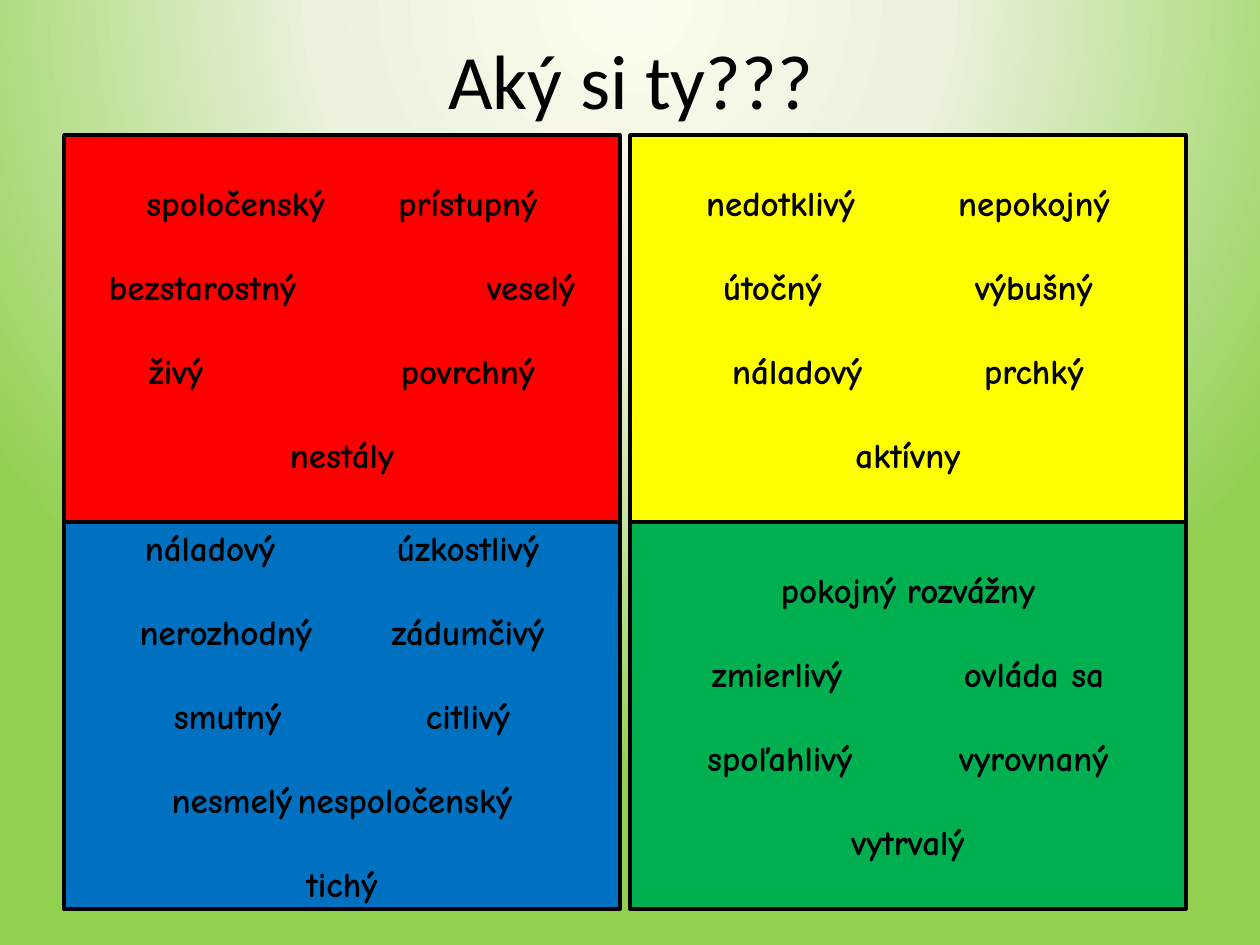
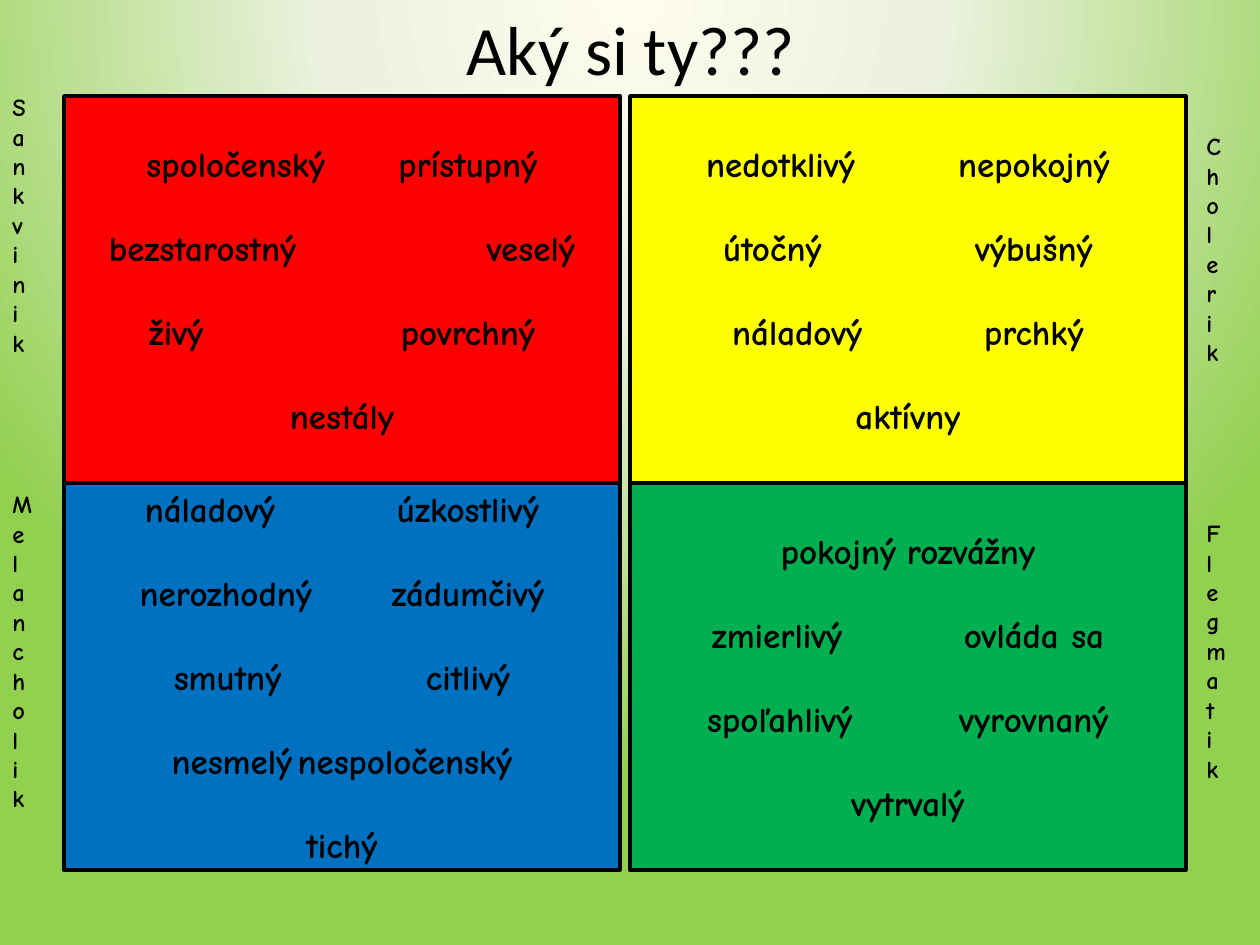
from dataclasses import dataclass

from pptx import Presentation
from pptx.dml.color import RGBColor
from pptx.enum.shapes import MSO_SHAPE
from pptx.enum.text import MSO_ANCHOR, MSO_AUTO_SIZE, PP_ALIGN
from pptx.oxml import parse_xml
from pptx.oxml.ns import nsdecls
from pptx.slide import Slide
from pptx.text.text import _Paragraph
from pptx.util import Emu, Inches, Pt

PX_PER_INCH = 126
COLORS = {
    "text": "000000",
    "sanguine": "FF0000",
    "choleric": "FFFF00",
    "melancholic": "0070C0",
    "phlegmatic": "00B050",
    "glow": "FEFCEE",
    "haze": "EBF1DE",
    "meadow": "92D050",
}
TITLE = "Aký si ty???"
TITLE_FONT, BODY_FONT = "Calibri", "Comic Neue"
GRID_LEFT, COL_STEP = 64, 566
BOX_W, BOX_H = 556, 387
LABEL_W = 66


@dataclass
class Temperament:
    color: str
    col: int
    row: int
    traits: list[str]


@dataclass
class SideLabel:
    text: str
    left: int
    top: int
    height: int


TEMPERAMENTS = [
    Temperament("sanguine", 0, 0, [
        "spoločenský\tprístupný", "bezstarostný\t\tveselý",
        "živý\t\tpovrchný", "nestály"]),
    Temperament("choleric", 1, 0, [
        "nedotklivý\tnepokojný", "útočný\t\tvýbušný",
        "náladový\tprchký", "aktívny"]),
    Temperament("melancholic", 0, 1, [
        "náladový\túzkostlivý", "nerozhodný\tzádumčivý",
        "smutný\t\tcitlivý", "nesmelý\tnespoločenský", "tichý"]),
    Temperament("phlegmatic", 1, 1, [
        "pokojný\trozvážny", "zmierlivý\tovláda sa",
        "spoľahlivý\tvyrovnaný", "vytrvalý"]),
]
SIDE_LABELS = [
    SideLabel("Sankvinik", 0, 86, 377),
    SideLabel("Cholerik", 1194, 125, 338),
    SideLabel("Melancholik", 0, 483, 462),
    SideLabel("Flegmatik", 1194, 512, 397),
]


def px(n: int) -> Emu:
    return Emu(round(n * Inches(1) / PX_PER_INCH))


def rgb(name: str) -> RGBColor:
    return RGBColor.from_string(COLORS[name])


def format_runs(p: _Paragraph, size: float, font: str, bold: bool = False) -> None:
    for r in p.runs:
        r.font.size = Pt(size)
        r.font.name = font
        r.font.bold = bold
        r.font.color.rgb = rgb("text")


def add_tab_stops(p: _Paragraph) -> None:
    """Put a left tab stop at each of the first four inches."""
    stops = "".join(f'<a:tab pos="{Inches(n)}" algn="l"/>' for n in range(1, 5))
    p._p.get_or_add_pPr().append(
        parse_xml(f'<a:tabLst {nsdecls("a")}>{stops}</a:tabLst>'))


def set_background(s: Slide) -> None:
    """Fill the slide with a round glow centred above its top edge."""
    stops = "".join(
        f'<a:gs pos="{pos * 1000}"><a:srgbClr val="{COLORS[name]}"/></a:gs>'
        for pos, name in ((0, "glow"), (40, "haze"), (100, "meadow")))
    bg = parse_xml(
        f'<p:bg {nsdecls("p", "a")}><p:bgPr><a:gradFill rotWithShape="1">'
        f'<a:gsLst>{stops}</a:gsLst><a:path path="circle">'
        '<a:fillToRect l="50000" t="-80000" r="50000" b="180000"/>'
        '</a:path></a:gradFill><a:effectLst/></p:bgPr></p:bg>')
    s.element.cSld.insert(0, bg)


def add_title(s: Slide, height: int, size: float) -> None:
    sp = s.shapes.add_textbox(px(GRID_LEFT), 0, Inches(9), px(height))
    tf = sp.text_frame
    tf.word_wrap = True
    tf.vertical_anchor = MSO_ANCHOR.MIDDLE
    tf.text = TITLE
    p = tf.paragraphs[0]
    p.alignment = PP_ALIGN.CENTER
    format_runs(p, size, TITLE_FONT)


def add_temperament(s: Slide, item: Temperament, grid_top: int) -> None:
    sp = s.shapes.add_shape(
        MSO_SHAPE.RECTANGLE, px(GRID_LEFT + item.col * COL_STEP),
        px(grid_top + item.row * BOX_H), px(BOX_W), px(BOX_H))
    sp.shadow.inherit = False
    sp.fill.solid()
    sp.fill.fore_color.rgb = rgb(item.color)
    sp.line.color.rgb = rgb("text")
    sp.line.width = Pt(2)
    tf = sp.text_frame
    tf.word_wrap = True
    tf.vertical_anchor = MSO_ANCHOR.MIDDLE
    for i, trait in enumerate(item.traits):
        p = tf.add_paragraph() if i else tf.paragraphs[0]
        p.text = trait
        p.alignment = PP_ALIGN.CENTER
        if i:
            p.space_before = Pt(24)
        add_tab_stops(p)
        format_runs(p, 20, BODY_FONT, bold=True)


def add_side_label(s: Slide, label: SideLabel) -> None:
    """Add a name whose upright letters are stacked downwards."""
    sp = s.shapes.add_textbox(
        px(label.left), px(label.top), px(LABEL_W), px(label.height))
    tf = sp.text_frame
    tf.word_wrap = True
    tf.auto_size = MSO_AUTO_SIZE.SHAPE_TO_FIT_TEXT
    tf._txBody.bodyPr.set("vert", "wordArtVert")
    tf.text = label.text
    format_runs(tf.paragraphs[0], 14, BODY_FONT, bold=True)


def add_temperament_slide(prs: Presentation, title_height: int,
                          title_size: float, grid_top: int) -> Slide:
    s = prs.slides.add_slide(prs.slide_layouts[6])
    set_background(s)
    add_title(s, title_height, title_size)
    for item in TEMPERAMENTS:
        add_temperament(s, item, grid_top)
    return s


def main() -> None:
    prs = Presentation()
    prs.slide_width, prs.slide_height = Inches(10), Inches(7.5)
    add_temperament_slide(prs, title_height=158, title_size=44, grid_top=135)
    named = add_temperament_slide(prs, title_height=96, title_size=39.6, grid_top=96)
    for label in SIDE_LABELS:
        add_side_label(named, label)
    prs.save("out.pptx")


if __name__ == "__main__":
    main()
